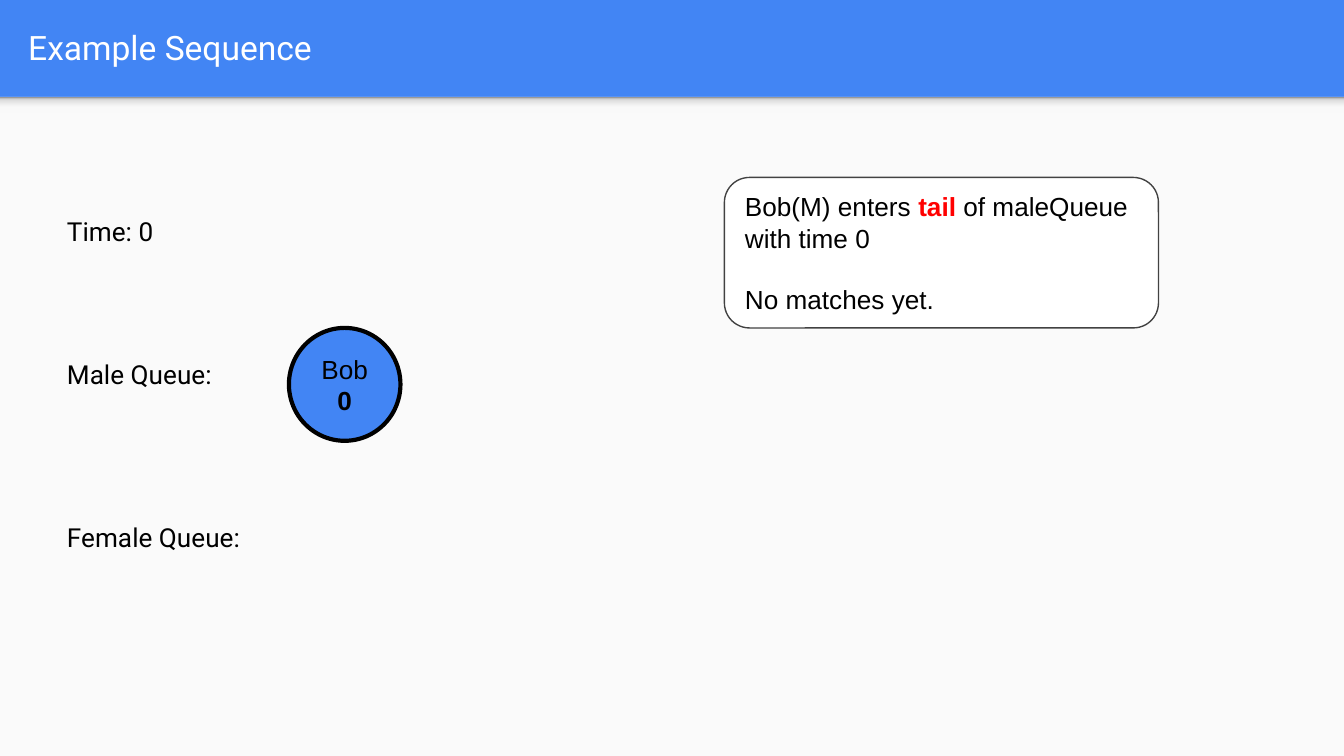
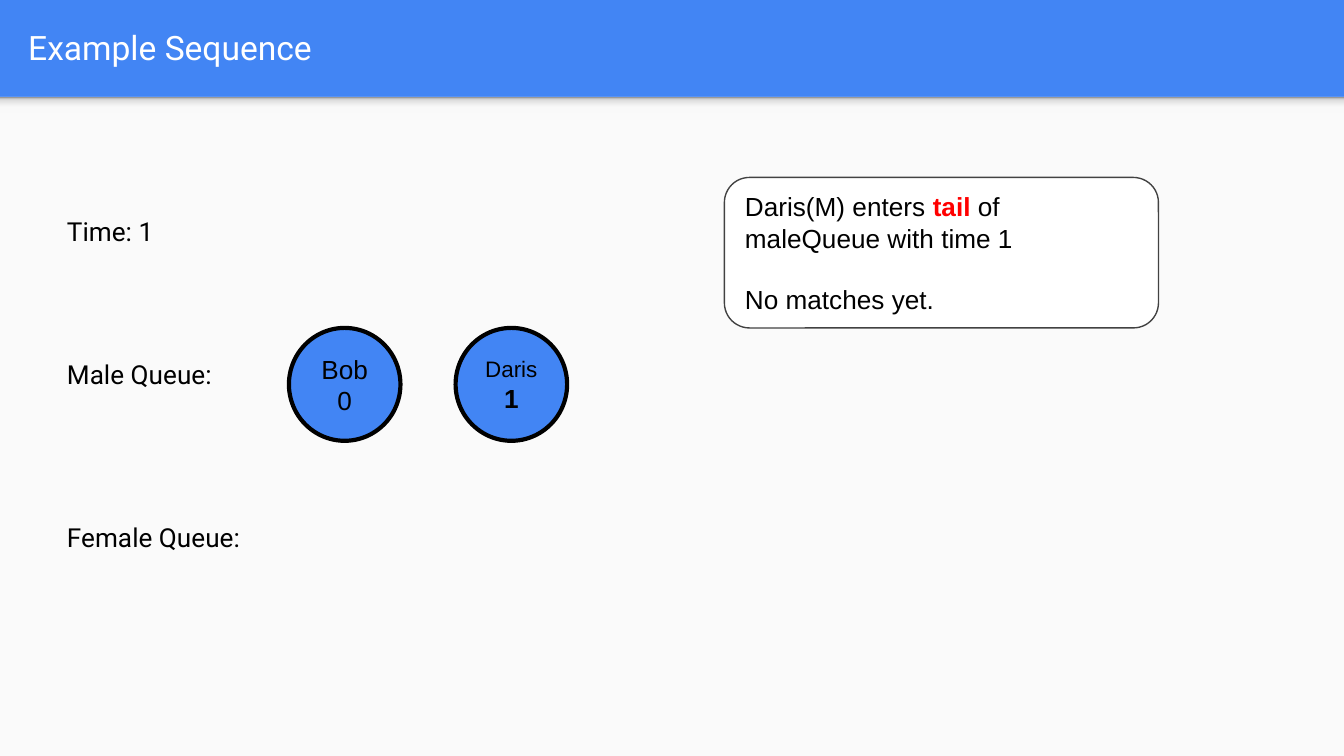
"""Builds two slides that step through a matching sequence with two queues."""
from pptx import Presentation
from pptx.dml.color import RGBColor
from pptx.enum.shapes import MSO_SHAPE
from pptx.enum.text import MSO_ANCHOR, MSO_AUTO_SIZE, PP_ALIGN
from pptx.oxml import parse_xml
from pptx.oxml.ns import nsdecls
from pptx.util import Inches, Pt

WIDTH = 10
HEIGHT = WIDTH * 9 / 16
BAND = 0.72
LABEL_LEFT = 0.4
QUEUE_LEFT, QUEUE_TOP, QUEUE_STEP = 2.15, 2.44, 1.24
COLORS = {
    "blue": "4285F4",
    "page": "FAFAFA",
    "white": "FFFFFF",
    "black": "000000",
    "outline": "424242",
    "red": "FF0000",
}
SHADE_STOPS = [(0, "F9F9F9"), (36, "F9F9F9"), (80, "DEDEDE"), (100, "999999")]

STEPS = [
    {
        "time": "Time: 0",
        "males": [("Bob", 14, "0", True)],
        "event": ("Bob(M) enters ", "tail", " of maleQueue with time 0"),
        "result": "No matches yet.",
    },
    {
        "time": "Time: 1",
        "males": [("Bob", 14, "0", False), ("Daris", 12, "1", True)],
        "event": ("Daris(M) enters ", "tail", " of maleQueue with time 1"),
        "result": "No matches yet.",
    },
]


def color(name):
    return RGBColor.from_string(COLORS[name])


def box(left, top, width, height):
    return [Inches(value) for value in (left, top, width, height)]


def prepare_frame(frame, anchor, wrap=True):
    frame.word_wrap = wrap
    frame.auto_size = MSO_AUTO_SIZE.NONE
    frame.vertical_anchor = anchor
    frame.margin_left = frame.margin_right = Inches(0.1)
    frame.margin_top = frame.margin_bottom = Inches(0.1)


def add_run(paragraph, text, size=14, font="Arial", tone="black", bold=False):
    run = paragraph.add_run()
    run.text = text
    run.font.size = Pt(size)
    run.font.name = font
    run.font.bold = bold
    run.font.color.rgb = color(tone)


def add_filled_shape(slide, kind, place, fill, line=None, line_width=0):
    shape = slide.shapes.add_shape(kind, *box(*place))
    shape.shadow.inherit = False
    shape.fill.solid()
    shape.fill.fore_color.rgb = color(fill)
    if line:
        shape.line.color.rgb = color(line)
        shape.line.width = Pt(line_width)
    else:
        shape.line.fill.background()
    return shape


def shade(shape):
    shape.fill.gradient()
    shape.fill.gradient_angle = 90
    stops = "".join(
        f'<a:gs pos="{share * 1000}"><a:srgbClr val="{value}"/></a:gs>'
        for share, value in SHADE_STOPS
    )
    gradient = shape.element.spPr.find(".//{*}gradFill")
    gradient.replace(
        gradient.find("{*}gsLst"),
        parse_xml(f'<a:gsLst {nsdecls("a")}>{stops}</a:gsLst>'),
    )


def style_layout(layout, slide):
    layout.background.fill.solid()
    layout.background.fill.fore_color.rgb = color("blue")
    page = add_filled_shape(
        slide, MSO_SHAPE.RECTANGLE, (0, BAND, WIDTH, HEIGHT - BAND), "page")
    edge = add_filled_shape(
        slide, MSO_SHAPE.RECTANGLE, (0, BAND, WIDTH, 0.12), "page")
    shade(edge)
    for position, shape in enumerate((page, edge), start=2):
        layout.shapes.element.insert(position, shape.element)


def set_title(slide, text):
    title = slide.shapes.title
    title.left, title.top, title.width, title.height = box(0.11, 0.02, 9.65, 0.66)
    prepare_frame(title.text_frame, MSO_ANCHOR.MIDDLE)
    paragraph = title.text_frame.paragraphs[0]
    paragraph.alignment = PP_ALIGN.LEFT
    add_run(paragraph, text, 18, "Roboto", "white")


def add_label(slide, text, top):
    label = slide.shapes.add_textbox(*box(LABEL_LEFT, top, 1.67, 0.48))
    prepare_frame(label.text_frame, MSO_ANCHOR.TOP)
    add_run(label.text_frame.paragraphs[0], text, font="Roboto")


def add_person(slide, place_in_queue, name, name_size, time, newest):
    left = QUEUE_LEFT + place_in_queue * QUEUE_STEP
    circle = add_filled_shape(
        slide, MSO_SHAPE.FLOWCHART_CONNECTOR, (left, QUEUE_TOP, 0.83, 0.84),
        "blue", "black", 2.25)
    frame = circle.text_frame
    prepare_frame(frame, MSO_ANCHOR.MIDDLE, wrap=False)
    add_run(frame.paragraphs[0], name, name_size)
    add_run(frame.add_paragraph(), time, bold=newest)
    for paragraph in frame.paragraphs:
        paragraph.alignment = PP_ALIGN.CENTER


def add_event(slide, event, result):
    card = add_filled_shape(
        slide, MSO_SHAPE.ROUNDED_RECTANGLE, (5.39, 1.32, 3.23, 1.12),
        "white", "outline", 0.75)
    frame = card.text_frame
    prepare_frame(frame, MSO_ANCHOR.MIDDLE)
    before, keyword, after = event
    first = frame.paragraphs[0]
    add_run(first, before)
    add_run(first, keyword, tone="red", bold=True)
    add_run(first, after)
    second = frame.add_paragraph()
    second.space_before = Pt(16)
    add_run(second, result)
    for paragraph in frame.paragraphs:
        paragraph.alignment = PP_ALIGN.LEFT


def add_step(slide, step):
    set_title(slide, "Example Sequence")
    add_label(slide, "Male Queue:", 2.57)
    add_label(slide, "Female Queue:", 3.78)
    add_label(slide, step["time"], 1.5)
    for place_in_queue, person in enumerate(step["males"]):
        add_person(slide, place_in_queue, *person)
    add_event(slide, step["event"], step["result"])


def main():
    presentation = Presentation()
    presentation.slide_width = Inches(WIDTH)
    presentation.slide_height = Inches(HEIGHT)
    layout = presentation.slide_layouts.get_by_name("Title Only")
    slides = [presentation.slides.add_slide(layout) for _ in STEPS]
    style_layout(layout, slides[0])
    for slide, step in zip(slides, STEPS):
        add_step(slide, step)
    presentation.save("out.pptx")


main()
